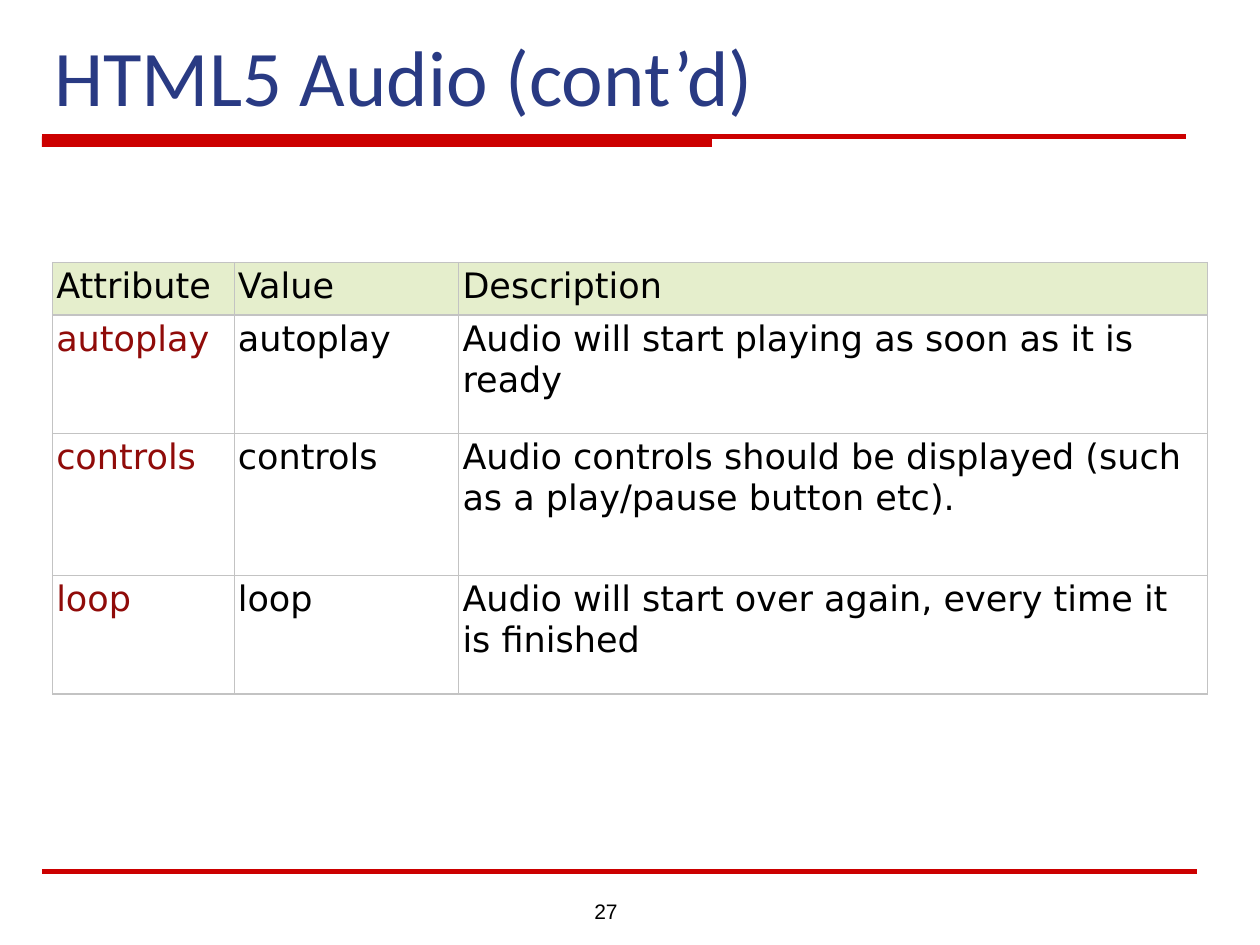
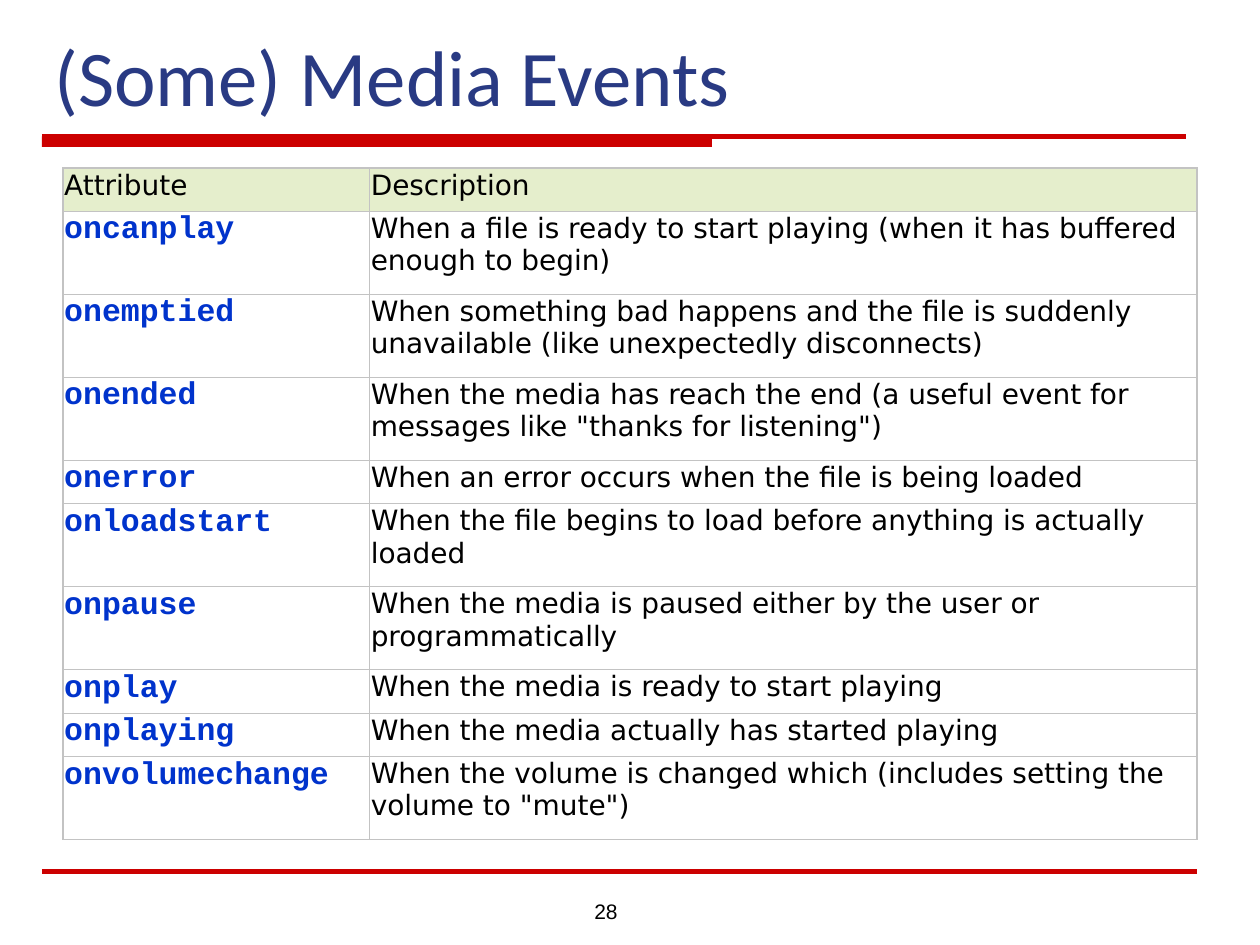
from dataclasses import dataclass

from lxml import etree
from pptx import Presentation
from pptx.dml.color import RGBColor
from pptx.enum.shapes import MSO_CONNECTOR, MSO_SHAPE
from pptx.enum.text import MSO_ANCHOR, PP_ALIGN
from pptx.oxml.ns import qn
from pptx.util import Inches, Pt

STRAIGHT = MSO_CONNECTOR.STRAIGHT
RECTANGLE = MSO_SHAPE.RECTANGLE
TOP, BOTTOM = MSO_ANCHOR.TOP, MSO_ANCHOR.BOTTOM
LEFT, RIGHT = PP_ALIGN.LEFT, PP_ALIGN.RIGHT

RED, NAVY, BLACK, WHITE = "CC0000", "293A83", "000000", "FFFFFF"
MAROON, BLUE, GREEN, GRAY = "900B09", "0033CC", "E5EECC", "C3C3C3"
COLUMNS, ROWS = 120, 90
MARGIN = 4
SHORT, LONG = 4.14, 7.9


@dataclass
class Style:
    font: str
    size: float
    color: str = BLACK
    bold: bool = False


TITLE = Style("Calibri", 45, NAVY)
NUMBER = Style("Arial", 12)
AUDIO_TEXT = Style("DejaVu Sans", 20)
AUDIO_NAME = Style("DejaVu Sans", 20, MAROON)
EVENT_TEXT = Style("DejaVu Sans", 16)
EVENT_NAME = Style("Courier New", 18, BLUE, True)

AUDIO_ROWS = [
    ("Attribute", "Value", "Description"),
    ("autoplay", "autoplay", "Audio will start playing as soon as it is ready"),
    ("controls", "controls",
     "Audio controls should be displayed (such as a play/pause button etc)."),
    ("loop", "loop", "Audio will start over again, every time it is finished"),
]
EVENT_ROWS = [
    ("Attribute", "Description"),
    ("oncanplay", "When a file is ready to start playing (when it has buffered enough to begin)"),
    ("onemptied", "When something bad happens and the file is suddenly unavailable "
                  "(like unexpectedly disconnects)"),
    ("onended", "When the media has reach the end (a useful event for messages like "
                "\"thanks for listening\")"),
    ("onerror", "When an error occurs when the file is being loaded"),
    ("onloadstart", "When the file begins to load before anything is actually loaded"),
    ("onpause", "When the media is paused either by the user or programmatically"),
    ("onplay", "When the media is ready to start playing"),
    ("onplaying", "When the media actually has started playing"),
    ("onvolumechange", "When the volume is changed which (includes setting the volume to \"mute\")"),
]


def grid(*steps):
    return [Inches(step / 12) for step in steps]


def rgb(color):
    return RGBColor.from_string(color)


def add_span(para, text, style):
    span = para.add_run()
    span.text = text
    span.font.name = style.font
    span.font.size = Pt(style.size)
    span.font.bold = style.bold
    span.font.color.rgb = rgb(style.color)


def add_text(page, place, text, style, anchor=TOP, align=LEFT, inset=0.05):
    frame = page.shapes.add_textbox(*grid(*place)).text_frame
    frame.word_wrap = True
    frame.vertical_anchor = anchor
    frame.margin_top = frame.margin_bottom = Inches(inset)
    para = frame.paragraphs[0]
    para.alignment = align
    add_span(para, text, style)


def add_rule(page, right, row):
    rule = page.shapes.add_connector(STRAIGHT, *grid(MARGIN, row, right, row))
    rule.line.color.rgb = rgb(RED)
    rule.line.width = Pt(3)
    etree.SubElement(rule._element.spPr, qn("a:effectLst"))


def add_band(page):
    band = page.shapes.add_shape(RECTANGLE, *grid(MARGIN, 13, 63.8, 1))
    band.shadow.inherit = False
    band.fill.solid()
    band.fill.fore_color.rgb = rgb(RED)
    band.line.fill.background()


def add_page(deck, title, number):
    page = deck.slides.add_slide(deck.slide_layouts[6])
    add_band(page)
    add_rule(page, 113, 13)
    add_rule(page, 114, 83)
    add_text(page, (MARGIN, 2, 111, 10), title, TITLE, BOTTOM, inset=0.03)
    add_text(page, (52, 85, 8, 3.2), str(number), NUMBER, align=RIGHT)
    return page


def set_borders(cell):
    properties = cell._tc.get_or_add_tcPr()
    for side in ("lnL", "lnR", "lnT", "lnB"):
        border = etree.SubElement(properties, qn(f"a:{side}"), w=str(Pt(0.75)))
        fill = etree.SubElement(border, qn("a:solidFill"))
        etree.SubElement(fill, qn("a:srgbClr"), val=GRAY)


def fill_cell(cell, text, style, fill, inset):
    cell.margin_left = cell.margin_right = Inches(inset)
    cell.margin_top = cell.margin_bottom = Inches(inset)
    set_borders(cell)
    cell.fill.solid()
    cell.fill.fore_color.rgb = rgb(fill)
    add_span(cell.text_frame.paragraphs[0], text, style)


def add_table(page, left, top, widths, heights, content, text_style, name_style, inset):
    place = grid(left, top, sum(widths), sum(heights))
    table = page.shapes.add_table(len(heights), len(widths), *place).table
    table.first_row = table.horz_banding = False
    for column, width in zip(table.columns, grid(*widths)):
        column.width = width
    for row, height in zip(table.rows, grid(*heights)):
        row.height = height
    for r, texts in enumerate(content):
        for c, text in enumerate(texts):
            style = name_style if r and c == 0 else text_style
            fill_cell(table.cell(r, c), text, style, WHITE if r else GREEN, inset)


def main():
    deck = Presentation()
    deck.slide_width, deck.slide_height = grid(COLUMNS, ROWS)

    audio = add_page(deck, "HTML5 Audio (cont’d)", 27)
    add_table(audio, 5, 25, (17.3, 21.4, 71.3), (5, 11.3, 13.5, 11.3),
              AUDIO_ROWS, AUDIO_TEXT, AUDIO_NAME, 0.03)

    events = add_page(deck, "(Some) Media Events", 28)
    heights = [LONG if len(texts[-1]) > 50 else SHORT for texts in EVENT_ROWS]
    add_table(events, 6, 16, (29.2, 78.8), heights,
              EVENT_ROWS, EVENT_TEXT, EVENT_NAME, 0.01)

    deck.save("out.pptx")


if __name__ == "__main__":
    main()
